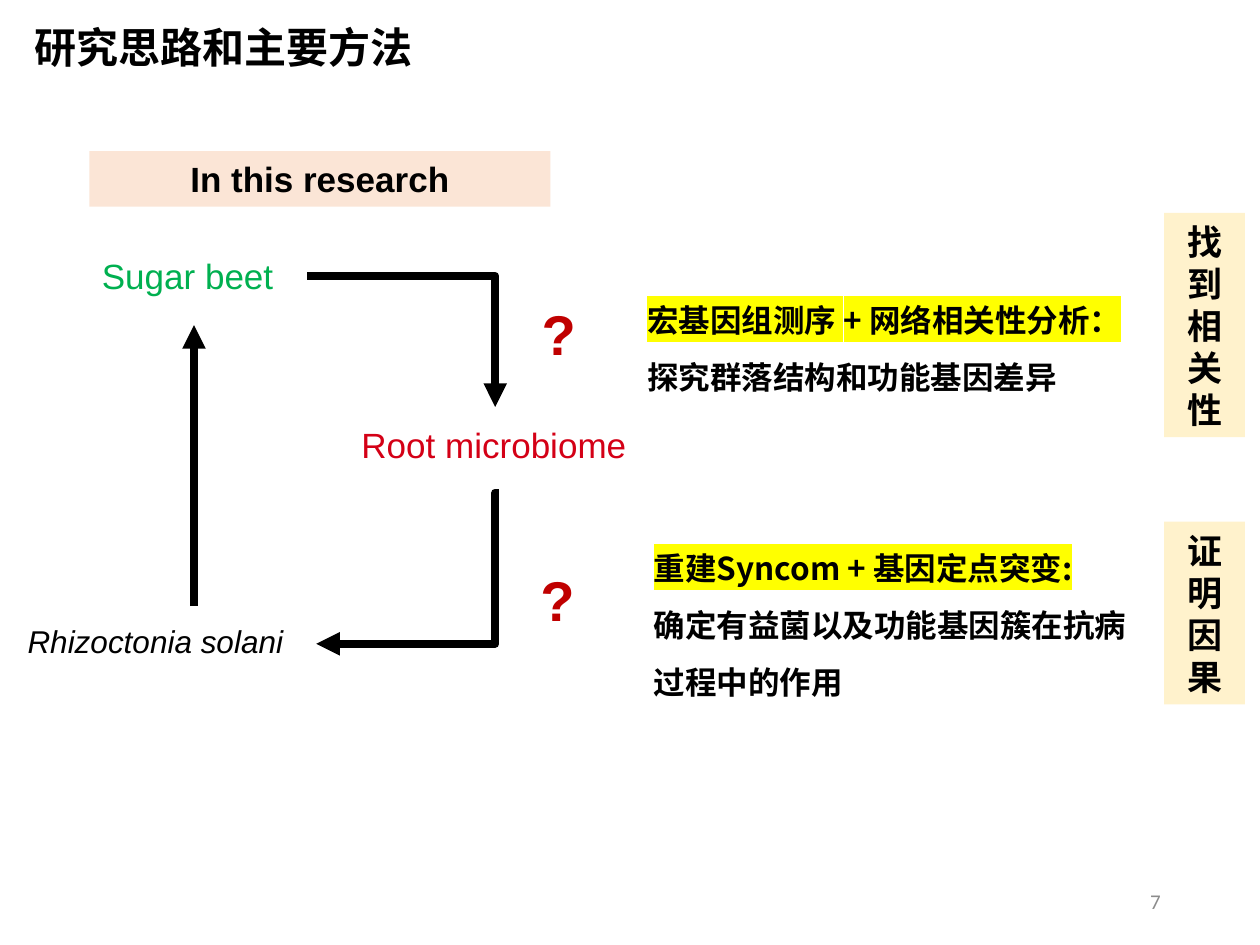
import pptx
import pptx.util
import pptx.dml.color
import pptx.enum.shapes
import pptx.enum.text
import pptx.oxml
import pptx.oxml.ns

Inches = pptx.util.Inches
ALIGN = pptx.enum.text.PP_ALIGN
ANCHOR = pptx.enum.text.MSO_ANCHOR
CONNECTOR = pptx.enum.shapes.MSO_CONNECTOR

COLORS = {
    "black": "000000", "red": "D40016", "green": "00B050", "question": "C00000",
    "peach": "FBE5D6", "cream": "FFF2CC", "marker": "FFFF00", "grey": "8C8C8C",
}
CJK = "Noto Sans CJK SC"

TITLE = ("研究思路和主要方法", (0.17, 0.12, 7.01, 0.5))
NODES = [
    ("Rhizoctonia solani", (0.12, 4.89, 2.39, 0.4), 18, "black", False, True),
    ("Root microbiome", (2.77, 3.31, 2.32, 0.44), 20, "red", False, False),
    ("Sugar beet", (0.71, 1.97, 1.65, 0.44), 20, "green", False, False),
    ("?", (4.19, 4.44, 0.77, 0.64), 32, "question", True, False),
    ("?", (4.2, 2.33, 0.77, 0.64), 32, "question", True, False),
]
METHODS = [
    (["宏基因组测序 + 网络相关性分析：", "探究群落结构和功能基因差异"], (5.04, 2.19, 4.14, 0.94)),
    (["重建Syncom + 基因定点突变:", "确定有益菌以及功能基因簇在抗病过程中的作用"], (5.09, 4.16, 4.02, 1.39)),
]
BANNERS = [
    ("In this research", (0.71, 1.2, 3.66, 0.44), "peach"),
    ("找到相关性", (9.24, 1.69, 0.64, 1.78), "cream"),
    ("证明因果", (9.24, 4.14, 0.64, 1.45), "cream"),
]
ARROWS = [
    ("straight", (1.54, 4.81, 1.54, 2.58)),
    ("corner", (2.44, 2.19, 3.93, 3.23)),
    ("bracket", (3.96, 3.91, 2.51, 5.11)),
]
PAGE_NUMBER = ("7", (7.06, 6.95, 2.25, 0.4))


def rgb(name):
    return pptx.dml.color.RGBColor.from_string(COLORS[name])


def element(tag, **attributes):
    item = pptx.oxml.parse_xml(f"<a:{tag} {pptx.oxml.ns.nsdecls('a')}/>")
    for key, value in attributes.items():
        item.set(key, value)
    return item


def write(box, lines, size, color="black", face="Arial", bold=False, italic=False,
          align=ALIGN.LEFT, spacing=None):
    frame = box.text_frame
    frame.word_wrap = True
    frame.text = "\n".join(lines)
    for para in frame.paragraphs:
        para.alignment = align
        para.line_spacing = spacing
        for span in para.runs:
            font = span.font
            font.size = pptx.util.Pt(size)
            font.bold, font.italic = bold, italic
            font.color.rgb = rgb(color)
            font.name = face
            font._element.find(pptx.oxml.ns.qn("a:latin")).addnext(
                element("ea", typeface=CJK))


def add_text(page, place, lines, size, **style):
    box = page.shapes.add_textbox(*map(Inches, place))
    write(box, lines, size, **style)
    return box


def highlight(span):
    marker = element("highlight")
    marker.append(element("srgbClr", val=COLORS["marker"]))
    span.font._element.find(pptx.oxml.ns.qn("a:solidFill")).addnext(marker)


def add_arrow(page, style, ends):
    kind = CONNECTOR.STRAIGHT if style == "straight" else CONNECTOR.ELBOW
    arrow = page.shapes.add_connector(kind, *map(Inches, ends))
    arrow.line.color.rgb = rgb("black")
    arrow.line.width = pptx.util.Pt(4.5)
    arrow.line._get_or_add_ln().append(element("tailEnd", type="triangle"))
    properties = arrow._element.spPr
    properties.append(element("effectLst"))
    geometry = properties.find(pptx.oxml.ns.qn("a:prstGeom"))
    if style == "corner":
        geometry.set("prst", "bentConnector2")
    elif style == "bracket":
        geometry.find(pptx.oxml.ns.qn("a:avLst")).append(
            element("gd", name="adj1", fmla="val 2000"))


def add_title(page, text, place):
    title = page.shapes.title
    title.left, title.top, title.width, title.height = map(Inches, place)
    write(title, [text], 24, face=CJK, bold=True)
    title.text_frame.vertical_anchor = ANCHOR.TOP
    title.text_frame.auto_size = pptx.enum.text.MSO_AUTO_SIZE.NONE


def add_banner(page, text, place, fill):
    banner = page.shapes.add_shape(
        pptx.enum.shapes.MSO_SHAPE.RECTANGLE, *map(Inches, place))
    banner.shadow.inherit = False
    banner.fill.solid()
    banner.fill.fore_color.rgb = rgb(fill)
    banner.line.fill.background()
    write(banner, [text], 20, bold=True, align=ALIGN.CENTER)


def main():
    deck = pptx.Presentation()
    deck.slide_width, deck.slide_height = Inches(10), Inches(7.5)
    page = deck.slides.add_slide(deck.slide_layouts[5])
    add_title(page, *TITLE)
    for text, place, size, color, bold, italic in NODES:
        add_text(page, place, [text], size, color=color, bold=bold, italic=italic)
    for style, ends in ARROWS:
        add_arrow(page, style, ends)
    for text, place, fill in BANNERS:
        add_banner(page, text, place, fill)
    for lines, place in METHODS:
        box = add_text(page, place, lines, 18, face=CJK, bold=True, spacing=1.5)
        highlight(box.text_frame.paragraphs[0].runs[0])
    text, place = PAGE_NUMBER
    number = add_text(page, place, [text], 12, color="grey", face="Calibri", align=ALIGN.RIGHT)
    number.text_frame.vertical_anchor = ANCHOR.MIDDLE
    deck.save("out.pptx")


if __name__ == "__main__":
    main()
